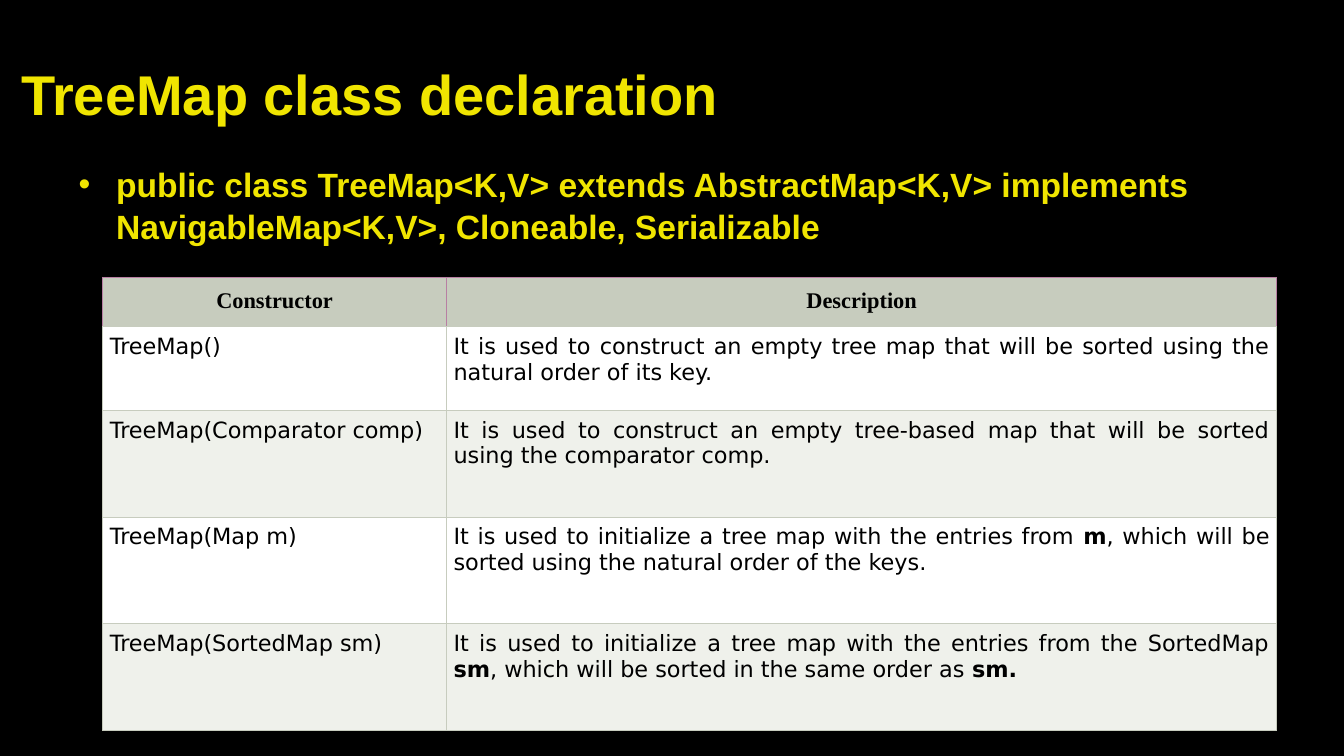
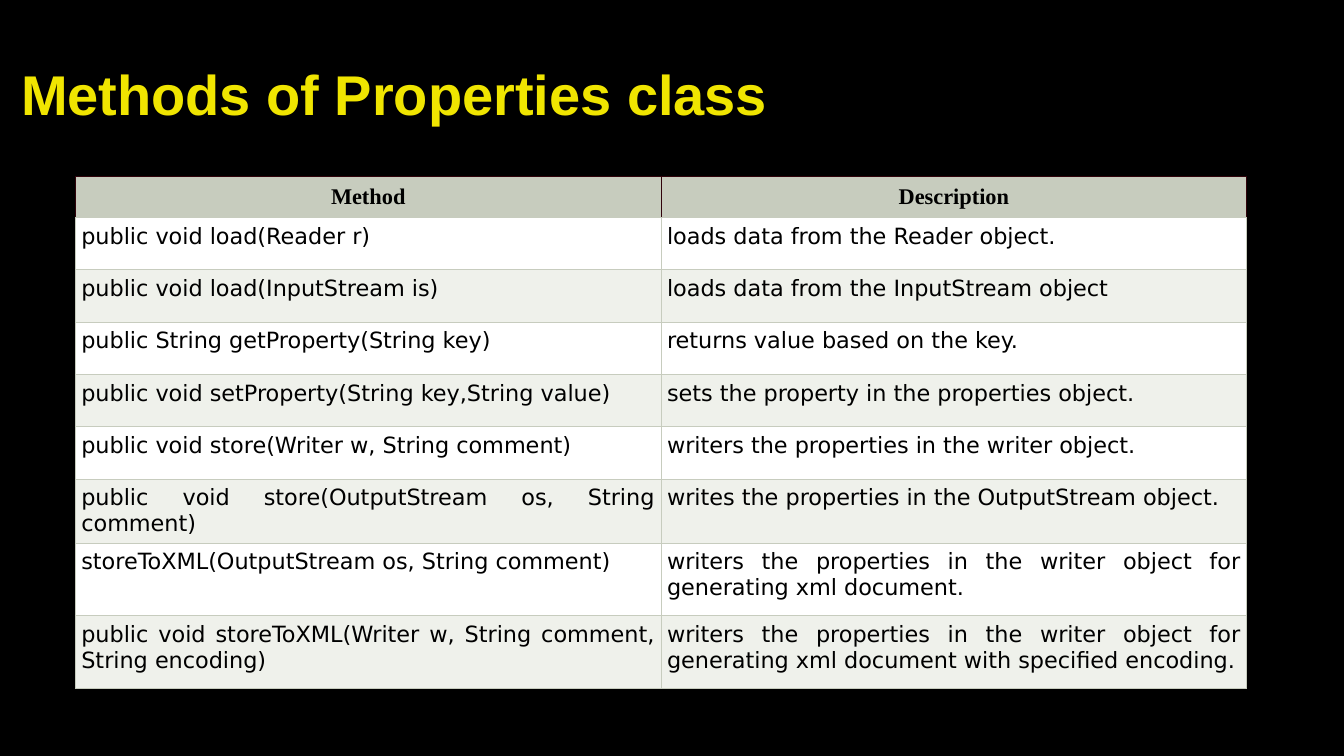
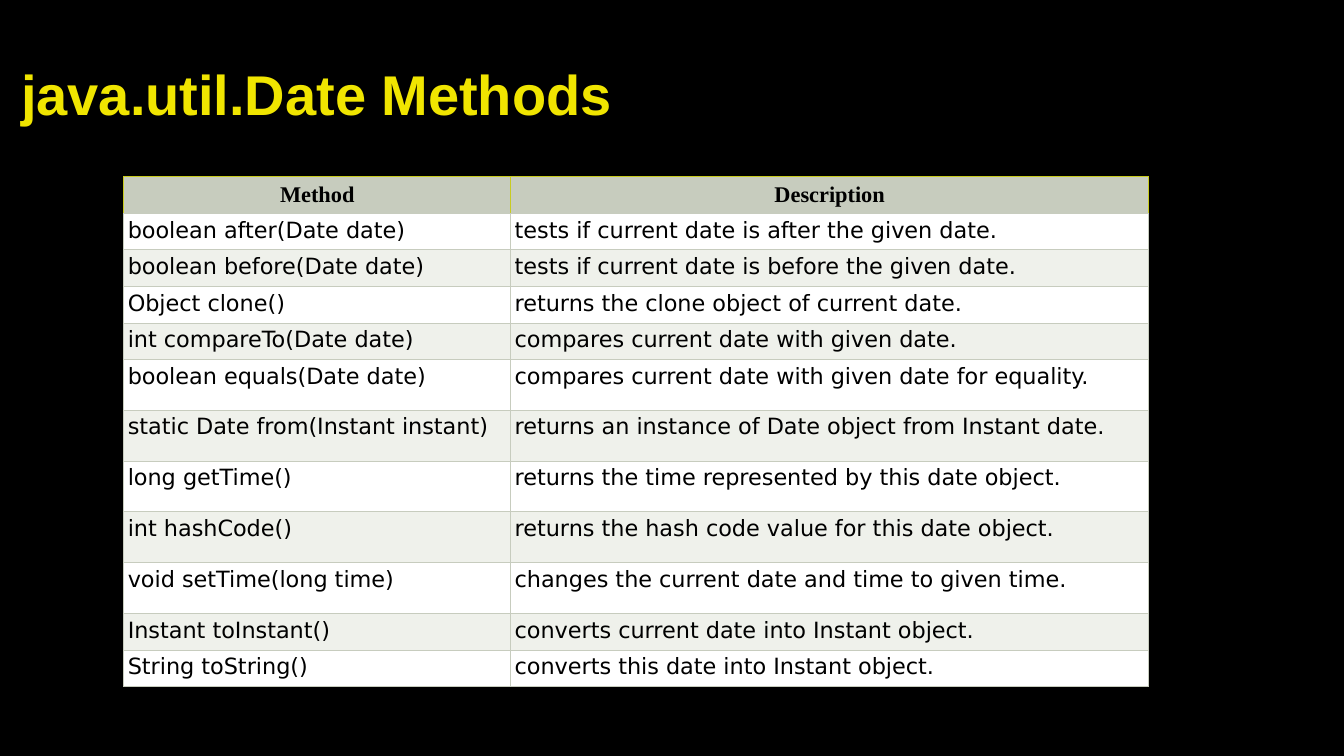
from dataclasses import dataclass

from lxml import etree
from pptx import Presentation
from pptx import util as u
from pptx.dml.color import RGBColor
from pptx.enum import text
from pptx.oxml import ns

COLORS = {
    "back": "000000",
    "accent": "F0E500",
    "ink": "000000",
    "head": "C7CCBE",
    "odd": "FFFFFF",
    "even": "EFF1EB",
    "pink": "B87FA3",
    "maroon": "30030B",
    "lime": "C8CB20",
}
HEADING_FONT, HEADER_FONT, CELL_FONT = "Arial", "Times New Roman", "DejaVu Sans"
TITLE_ONLY = 5
BORDER = u.Pt(0.75)
ALIGN = text.PP_ALIGN


@dataclass
class Grid:
    left: float
    top: float
    cols: list[float]
    heights: list[float]
    head_inset: float
    inset: float
    edge: str
    rows: list[tuple[str, str]]


@dataclass
class Page:
    title: str
    grid: Grid
    bullet: str = ""


PAGES = [
    Page(
        "TreeMap class declaration",
        Grid(
            2.59, 6.99, [8.66, 20.93], [1.09, 2.11] + [2.69] * 3, 0.28, 0.18, "pink",
            [
                ("Constructor", "Description"),
                ("TreeMap()", "It is used to construct an empty tree map that will be sorted using the natural order of its key."),
                ("TreeMap(Comparator comp)", "It is used to construct an empty tree-based map that will be sorted using the comparator comp."),
                ("TreeMap(Map m)", "It is used to initialize a tree map with the entries from *m*, which will be sorted using the natural order of the keys."),
                ("TreeMap(SortedMap sm)", "It is used to initialize a tree map with the entries from the SortedMap *sm*, which will be sorted in the same order as *sm.*"),
            ],
        ),
        "public class TreeMap<K,V> extends AbstractMap<K,V> implements NavigableMap<K,V>, Cloneable, Serializable",
    ),
    Page(
        "Methods of Properties class",
        Grid(
            1.9, 4.45, [14.76] * 2, [0.94] + [1.32] * 6 + [1.83] * 2, 0.2, 0.15, "maroon",
            [
                ("Method", "Description"),
                ("public void load(Reader r)", "loads data from the Reader object."),
                ("public void load(InputStream is)", "loads data from the InputStream object"),
                ("public String getProperty(String key)", "returns value based on the key."),
                ("public void setProperty(String key,String value)", "sets the property in the properties object."),
                ("public void store(Writer w, String comment)", "writers the properties in the writer object."),
                ("public void store(OutputStream os, String comment)", "writes the properties in the OutputStream object."),
                ("storeToXML(OutputStream os, String comment)", "writers the properties in the writer object for generating xml document."),
                ("public void storeToXML(Writer w, String comment, String encoding)", "writers the properties in the writer object for generating xml document with specified encoding."),
            ],
        ),
    ),
    Page(
        "java.util.Date Methods",
        Grid(
            3.12, 4.45, [9.75, 16.08], [0.66] + [0.92] * 4 + [1.28] * 5 + [0.92] * 2, 0.15, 0.1, "lime",
            [
                ("Method", "Description"),
                ("boolean after(Date date)", "tests if current date is after the given date."),
                ("boolean before(Date date)", "tests if current date is before the given date."),
                ("Object clone()", "returns the clone object of current date."),
                ("int compareTo(Date date)", "compares current date with given date."),
                ("boolean equals(Date date)", "compares current date with given date for equality."),
                ("static Date from(Instant instant)", "returns an instance of Date object from Instant date."),
                ("long getTime()", "returns the time represented by this date object."),
                ("int hashCode()", "returns the hash code value for this date object."),
                ("void setTime(long time)", "changes the current date and time to given time."),
                ("Instant toInstant()", "converts current date into Instant object."),
                ("String toString()", "converts this date into Instant object."),
            ],
        ),
    ),
]


def rgb(name: str) -> RGBColor:
    return RGBColor.from_string(COLORS[name])


def write(tf, content: str, *, size: float, font: str, color: str, bold: bool = False, align=ALIGN.LEFT):
    p = tf.paragraphs[0]
    p.alignment = align
    for i, part in enumerate(content.split("*")):
        if part:
            r = p.add_run()
            r.text = part
            r.font.size = u.Pt(size)
            r.font.name = font
            r.font.bold = bold or i % 2 == 1
            r.font.color.rgb = rgb(color)
    return p


def add_title(s, content: str) -> None:
    sp = s.shapes.title
    sp.left, sp.top, sp.width, sp.height = (u.Cm(v) for v in (0.28, 0.76, 30.48, 3.18))
    sp.text_frame.vertical_anchor = text.MSO_ANCHOR.MIDDLE
    write(sp.text_frame, content, size=40, font=HEADING_FONT, color="accent", bold=True)


def add_bullet(s, content: str) -> None:
    sp = s.shapes.add_textbox(u.Cm(1.73), u.Cm(3.94), u.Cm(30.48), u.Cm(2.41))
    tf = sp.text_frame
    tf.word_wrap = True
    p = write(tf, content, size=24, font=HEADING_FONT, color="accent", bold=True)
    p.line_spacing = 1.06
    pPr = p._p.get_or_add_pPr()
    indent = u.Cm(0.95)
    pPr.set("marL", str(indent))
    pPr.set("indent", str(-indent))
    etree.SubElement(pPr, ns.qn("a:buFont"), typeface=HEADING_FONT)
    etree.SubElement(pPr, ns.qn("a:buChar"), char="•")


def set_borders(cell, edge: str, bottom: str) -> None:
    tcPr = cell._tc.get_or_add_tcPr()
    for side in "LRTB":
        ln = etree.SubElement(tcPr, ns.qn(f"a:ln{side}"), w=str(BORDER))
        fill = etree.SubElement(ln, ns.qn("a:solidFill"))
        color = COLORS[bottom if side == "B" else edge]
        etree.SubElement(fill, ns.qn("a:srgbClr"), val=color)


def fill_cell(cell, content: str, *, inset: float, edge: str, fill: str, **style) -> None:
    set_borders(cell, edge, "head")
    cell.fill.solid()
    cell.fill.fore_color.rgb = rgb(fill)
    cell.margin_left = cell.margin_right = u.Cm(inset)
    cell.margin_top = cell.margin_bottom = u.Cm(inset)
    write(cell.text_frame, content, size=16, color="ink", **style)


def add_grid(s, g: Grid) -> None:
    table = s.shapes.add_table(
        len(g.rows), len(g.cols), u.Cm(g.left), u.Cm(g.top),
        u.Cm(sum(g.cols)), u.Cm(sum(g.heights)),
    ).table
    table.first_row = table.horz_banding = False
    for col, width in zip(table.columns, g.cols):
        col.width = u.Cm(width)
    head = dict(inset=g.head_inset, edge=g.edge, fill="head", font=HEADER_FONT, bold=True, align=ALIGN.CENTER)
    for i, (row, height, contents) in enumerate(zip(table.rows, g.heights, g.rows)):
        row.height = u.Cm(height)
        body = dict(inset=g.inset, edge="head", fill="odd" if i % 2 else "even", font=CELL_FONT, align=ALIGN.JUSTIFY)
        for cell, content in zip(row.cells, contents):
            fill_cell(cell, content, **(body if i else head))


def main() -> None:
    prs = Presentation()
    prs.slide_width, prs.slide_height = u.Cm(33.87), u.Cm(19.05)
    back = prs.slide_master.background.fill
    back.solid()
    back.fore_color.rgb = rgb("back")
    for page in PAGES:
        s = prs.slides.add_slide(prs.slide_layouts[TITLE_ONLY])
        add_title(s, page.title)
        if page.bullet:
            add_bullet(s, page.bullet)
        add_grid(s, page.grid)
    prs.save("out.pptx")


if __name__ == "__main__":
    main()
